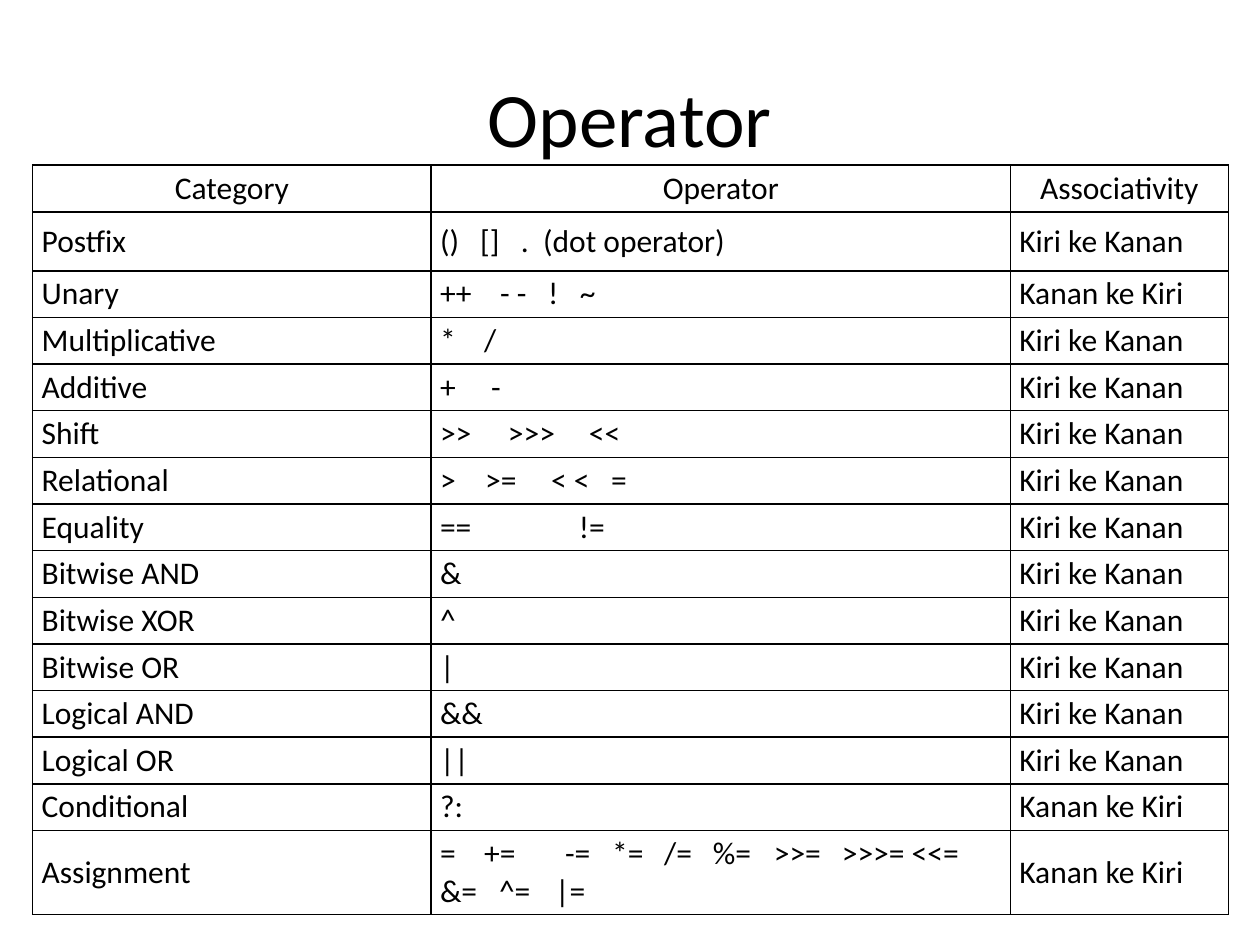
from dataclasses import dataclass

from lxml.etree import SubElement
from pptx import Presentation
from pptx.dml.color import RGBColor
from pptx.enum.text import MSO_ANCHOR as Anchor, PP_ALIGN as Align
from pptx.oxml import parse_xml
from pptx.oxml.ns import nsdecls, qn
from pptx.util import Cm, Pt

COLORS = {"text": "000000", "border": "000000", "cell": "FFFFFF"}
FONT = "Calibri"
LEFT_TO_RIGHT = "Kiri ke Kanan"
RIGHT_TO_LEFT = "Kanan ke Kiri"
COL_WIDTHS = (8.03, 11.68, 4.39)
ROW_HEIGHT = 0.94


@dataclass
class Line:
    text: str
    tabs: tuple[float, ...] = ()


@dataclass
class Row:
    category: str
    operators: list[Line]
    associativity: str = LEFT_TO_RIGHT
    height: float = ROW_HEIGHT
    align: Align = Align.LEFT


ROWS = [
    Row("Category", [Line("Operator")], "Associativity", align=Align.CENTER),
    Row("Postfix", [Line("()\t[]\t.\t(dot operator)", (0.81, 1.63, 2.08))], height=1.19),
    Row("Unary", [Line("++\t- -\t!\t~", (1.21, 2.18, 2.82))], RIGHT_TO_LEFT),
    Row("Multiplicative", [Line("*\t/", (0.89,))]),
    Row("Additive", [Line("+\t-", (1.03,))]),
    Row("Shift", [Line(">>\t>>>\t<<", (1.37, 3.0))]),
    Row("Relational", [Line(">\t>=\t< <\t=", (0.91, 2.24, 3.45))]),
    Row("Equality", [Line("==\t!=", (2.8,))]),
    Row("Bitwise AND", [Line("&")]),
    Row("Bitwise XOR", [Line("^")]),
    Row("Bitwise OR", [Line("|")]),
    Row("Logical AND", [Line("&&")]),
    Row("Logical OR", [Line("||")]),
    Row("Conditional", [Line("?:")], RIGHT_TO_LEFT),
    Row("Assignment", [
        Line("=\t+=\t-=\t*=\t/=\t%=\t>>=\t>>>= <<=",
             (0.89, 2.52, 3.47, 4.52, 5.5, 6.73, 8.1)),
        Line("&=\t^=\t|=", (1.19, 2.32)),
    ], RIGHT_TO_LEFT, height=1.7),
]


def add_text(tf, lines: list[Line], size: int, align: Align) -> None:
    for i, line in enumerate(lines):
        p = tf.add_paragraph() if i else tf.paragraphs[0]
        p.alignment = align
        if line.tabs:
            tab_list = SubElement(p._p.get_or_add_pPr(), qn("a:tabLst"))
            for pos in line.tabs:
                SubElement(tab_list, qn("a:tab"), pos=str(int(Cm(pos))), algn="l")
        r = p.add_run()
        r.text = line.text
        r.font.name = FONT
        r.font.size = Pt(size)
        r.font.color.rgb = RGBColor.from_string(COLORS["text"])


def add_borders(cell) -> None:
    props = cell._tc.get_or_add_tcPr()
    for i, side in enumerate("LRTB"):
        props.insert(i, parse_xml(
            f'<a:ln{side} {nsdecls("a")} w="{int(Pt(1))}"><a:solidFill>'
            f'<a:srgbClr val="{COLORS["border"]}"/></a:solidFill></a:ln{side}>'))


def fill_cell(cell, lines: list[Line], align: Align) -> None:
    cell.margin_left = cell.margin_right = Cm(0.18)
    cell.margin_top = cell.margin_bottom = Cm(0.08)
    cell.vertical_anchor = Anchor.MIDDLE
    cell.fill.solid()
    cell.fill.fore_color.rgb = RGBColor.from_string(COLORS["cell"])
    add_borders(cell)
    add_text(cell.text_frame, lines, 18, align)


def add_title(s, text: str) -> None:
    tf = s.shapes.add_textbox(Cm(1.27), Cm(0.76), Cm(22.86), Cm(3.18)).text_frame
    tf.word_wrap = True
    tf.vertical_anchor = Anchor.MIDDLE
    add_text(tf, [Line(text)], 44, Align.CENTER)


def add_operator_table(s, rows: list[Row]) -> None:
    table = s.shapes.add_table(
        len(rows), len(COL_WIDTHS), Cm(0.66), Cm(3.33),
        Cm(sum(COL_WIDTHS)), Cm(sum(row.height for row in rows))).table
    table.first_row = table.horz_banding = False
    for col, width in zip(table.columns, COL_WIDTHS):
        col.width = Cm(width)
    for i, row in enumerate(rows):
        table.rows[i].height = Cm(row.height)
        contents = [Line(row.category)], row.operators, [Line(row.associativity)]
        for j, lines in enumerate(contents):
            fill_cell(table.cell(i, j), lines, row.align)


def main() -> None:
    prs = Presentation()
    prs.slide_width, prs.slide_height = Cm(25.4), Cm(19.05)
    s = prs.slides.add_slide(prs.slide_layouts[6])
    add_title(s, "Operator")
    add_operator_table(s, ROWS)
    prs.save("out.pptx")


if __name__ == "__main__":
    main()
